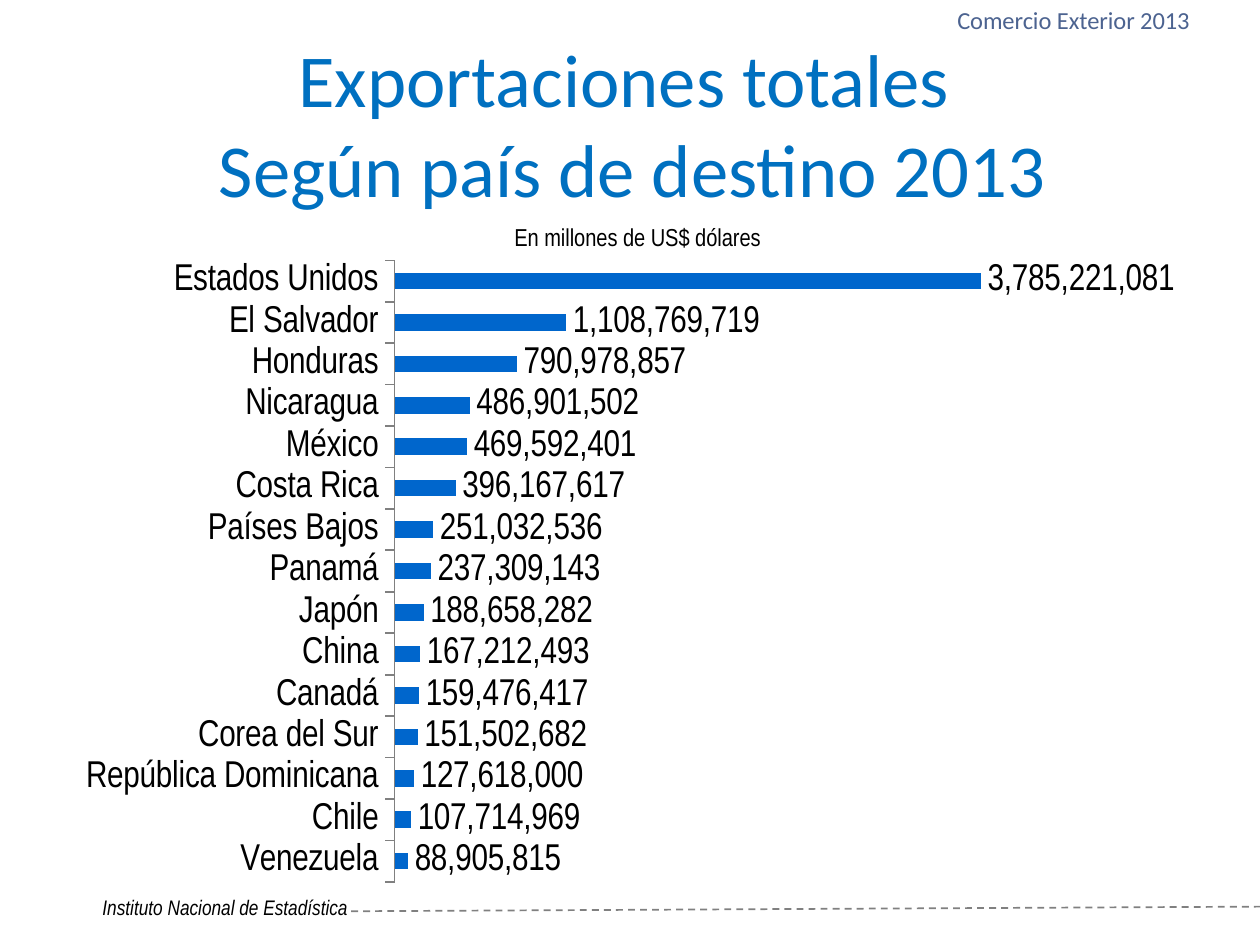
from lxml.etree import SubElement
from pptx import Presentation
from pptx.chart.data import CategoryChartData as ChartData
from pptx.dml.color import RGBColor
from pptx.enum.chart import XL_CHART_TYPE as Kind, XL_LABEL_POSITION as Spot
from pptx.enum.chart import XL_TICK_LABEL_POSITION as Tag, XL_TICK_MARK as Tick
from pptx.enum.dml import MSO_LINE as Dash
from pptx.enum.shapes import MSO_CONNECTOR as Link
from pptx.enum.text import MSO_ANCHOR as Anchor, PP_ALIGN as Align
from pptx.oxml import parse_xml
from pptx.oxml.ns import nsdecls, qn
from pptx.util import Cm, Pt

HUES = {"title": "0070C0", "head": "4C6390", "bar": "0066CC",
        "text": "000000", "line": "808080"}
TITLE = "Exportaciones totales \vSegún país de destino 2013"
NOTES = [
    ("Comercio Exterior 2013", (10.11, -0.05, 8.13, 0.74),
     10.5, "Calibri", "head", Align.RIGHT, False),
    ("Instituto Nacional de Estadística", (1.3, 13.39, 8.99, 0.64),
     9, "Arial Narrow", "text", Align.LEFT, True),
    ("En millones de US$ dólares", (3.94, 3.23, 11.4, 0.71),
     10.5, "Arial Narrow", "text", Align.CENTER, False),
]
SALES = {
    "Estados Unidos": 3785221081,
    "El Salvador": 1108769719,
    "Honduras": 790978857,
    "Nicaragua": 486901502,
    "México": 469592401,
    "Costa Rica": 396167617,
    "Países Bajos": 251032536,
    "Panamá": 237309143,
    "Japón": 188658282,
    "China": 167212493,
    "Canadá": 159476417,
    "Corea del Sur": 151502682,
    "República Dominicana": 127618000,
    "Chile": 107714969,
    "Venezuela": 88905815,
}
PLOT = {"x": 0.29, "y": 0.01, "w": 0.63, "h": 0.99}
TOP = 4_300_000_000


def hue(name):
    return RGBColor.from_string(HUES[name])


def style(font, size, face, name, slant=False):
    font.size, font.name, font.italic = Pt(size), face, slant
    font.color.rgb = hue(name)


def add_note(slide, text, box, size, face, name, align, slant):
    frame = slide.shapes.add_textbox(*map(Cm, box)).text_frame
    frame.word_wrap = True
    line = frame.paragraphs[0]
    line.text, line.alignment = text, align
    style(line.font, size, face, name, slant)


def add_title(slide):
    title = slide.shapes.title
    title.left, title.top, title.width, title.height = map(
        Cm, (0.99, 0.66, 17.15, 2.39))
    title.text_frame.text = TITLE
    title.text_frame.vertical_anchor = Anchor.MIDDLE
    line = title.text_frame.paragraphs[0]
    line.alignment = Align.CENTER
    style(line.font, 32, "Calibri", "title")


def add_rule(slide):
    rule = slide.shapes.add_connector(
        Link.STRAIGHT, *map(Cm, (5.31, 13.77, 19.05, 13.7)))
    rule.line.color.rgb = hue("line")
    rule.line.width = Pt(0.75)
    rule.line.dash_style = Dash.DASH
    SubElement(rule.element.spPr, qn("a:effectLst"))


def place_plot(chart):
    area = chart.element.find(".//" + qn("c:plotArea"))
    for old in area.findall(qn("c:layout")):
        area.remove(old)
    modes = '<c:xMode val="edge"/><c:yMode val="edge"/>'
    sizes = "".join(f'<c:{key} val="{val}"/>' for key, val in PLOT.items())
    area.insert(0, parse_xml(
        f'<c:layout {nsdecls("c")}><c:manualLayout>'
        f'<c:layoutTarget val="inner"/>{modes}{sizes}'
        '</c:manualLayout></c:layout>'))


def add_bars(slide):
    data = ChartData(number_format="#,##0")
    data.categories = list(SALES)
    data.add_series("Series 1", list(SALES.values()))
    box = map(Cm, (1.3, 3.84, 16.48, 9.5))
    chart = slide.shapes.add_chart(Kind.BAR_CLUSTERED, *box, data).chart
    chart.has_title = chart.has_legend = False
    style(chart.font, 16, "Arial Narrow", "text")
    place_plot(chart)

    lands, worth = chart.category_axis, chart.value_axis
    lands.reverse_order = True
    lands.major_tick_mark, lands.minor_tick_mark = Tick.OUTSIDE, Tick.NONE
    lands.tick_label_position = Tag.NEXT_TO_AXIS
    lands.format.line.color.rgb = hue("line")
    lands.format.line.width = Pt(0.75)
    worth.minimum_scale, worth.maximum_scale = 0, TOP
    worth.has_major_gridlines = worth.visible = False

    plot = chart.plots[0]
    plot.gap_width, plot.vary_by_categories = 150, False
    bars = plot.series[0]
    bars.format.fill.solid()
    bars.format.fill.fore_color.rgb = hue("bar")
    plot.has_data_labels = True
    tags = plot.data_labels
    tags.show_value, tags.position = True, Spot.OUTSIDE_END
    tags.number_format, tags.number_format_is_linked = "#,##0", False
    style(tags.font, 16, "Arial Narrow", "text")


def main():
    deck = Presentation()
    deck.slide_width, deck.slide_height = Cm(19.05), Cm(14.28)
    slide = deck.slides.add_slide(deck.slide_layouts[5])
    add_rule(slide)
    add_title(slide)
    add_bars(slide)
    for note in NOTES:
        add_note(slide, *note)
    deck.save("out.pptx")


if __name__ == "__main__":
    main()
